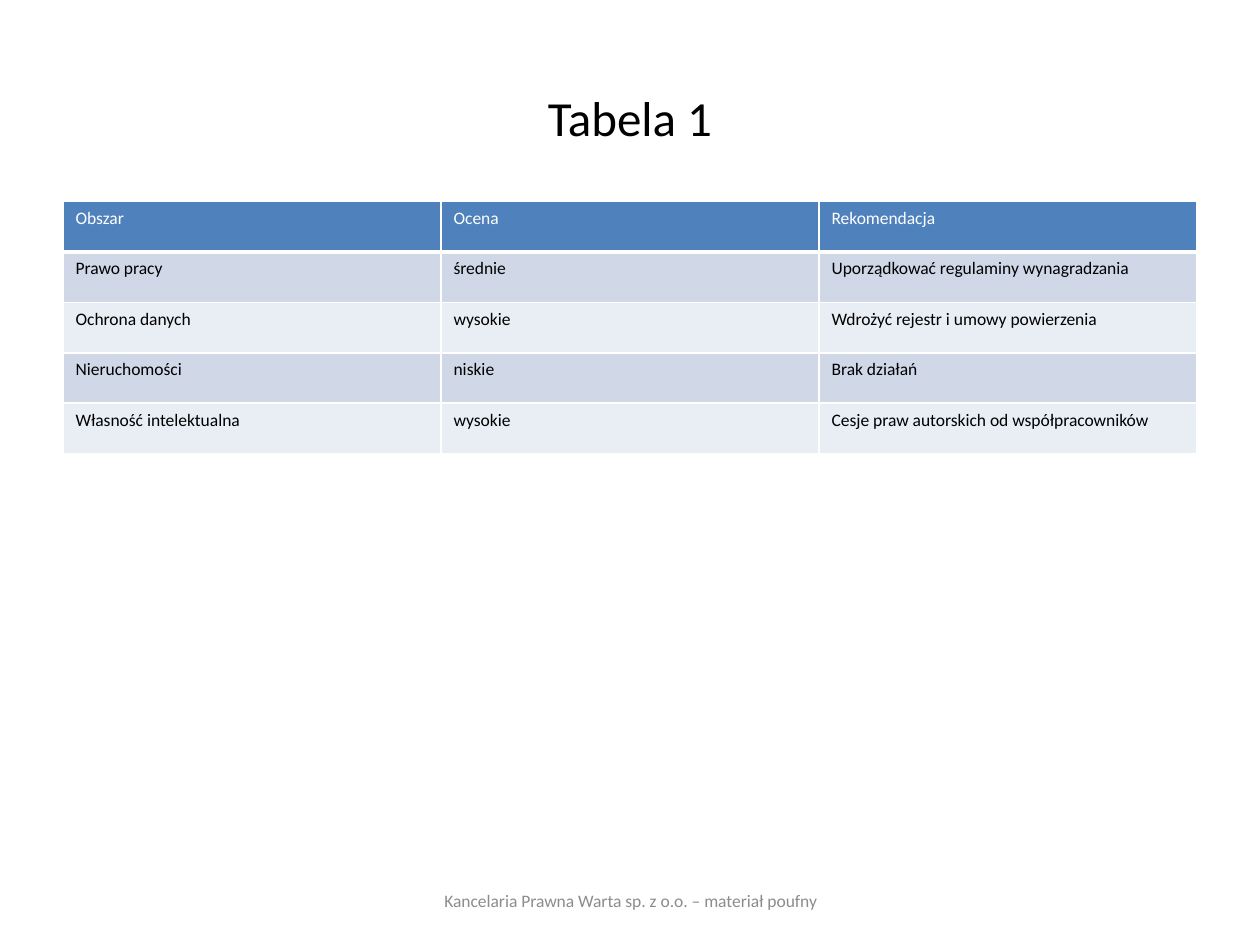
import pptx
import pptx.util
import pptx.dml.color
import pptx.enum.text
import pptx.oxml.ns
from lxml import etree

PX = 9144  # EMU, 100 px to the inch
ALIGN = pptx.enum.text.PP_ALIGN
MIDDLE = pptx.enum.text.MSO_ANCHOR.MIDDLE

THEME = {
    "font": "Calibri",
    "title": {"size": 28, "color": "000000"},
    "head": {"size": 10, "color": "FFFFFF"},
    "body": {"size": 10, "color": "000000"},
    "foot": {"size": 10, "color": "8C8C8C"},
    "headfill": "4F81BD",
    "bands": ("D0D8E8", "E9EDF4"),
    "rule": "FFFFFF",
}

ROWS = (
    ("Obszar", "Ocena", "Rekomendacja"),
    ("Prawo pracy", "średnie", "Uporządkować regulaminy wynagradzania"),
    ("Ochrona danych", "wysokie", "Wdrożyć rejestr i umowy powierzenia"),
    ("Nieruchomości", "niskie", "Brak działań"),
    ("Własność intelektualna", "wysokie", "Cesje praw autorskich od współpracowników"),
)


def color(code):
    return pptx.dml.color.RGBColor.from_string(code)


def emu(box):
    return [n * PX for n in box]


def write(frame, text, style):
    para = frame.paragraphs[0]
    run = para.add_run()
    run.text = text
    form = {"name": THEME["font"], "size": pptx.util.Pt(style["size"]), "bold": False}
    for key, value in form.items():
        setattr(run.font, key, value)
    run.font.color.rgb = color(style["color"])
    return para


def add_line(slide, box, text, style):
    """Place one line of text centred in its box."""
    frame = slide.shapes.add_textbox(*emu(box)).text_frame
    for key, value in {"word_wrap": True, "vertical_anchor": MIDDLE}.items():
        setattr(frame, key, value)
    write(frame, text, style).alignment = ALIGN.CENTER


def add_rules(cell, base):
    """Draw the four cell borders; base is the width of the lowest in points."""
    props = cell._tc.get_or_add_tcPr()
    qn = pptx.oxml.ns.qn
    for side, width in {"L": 1, "R": 1, "T": 1, "B": base}.items():
        line = etree.SubElement(props, qn(f"a:ln{side}"), w=str(pptx.util.Pt(width)))
        fill = etree.SubElement(line, qn("a:solidFill"))
        etree.SubElement(fill, qn("a:srgbClr"), val=THEME["rule"])


def add_grid(slide, box, rows):
    shape = slide.shapes.add_table(len(rows), len(rows[0]), *emu(box))
    table = shape.table
    for key in ("first_row", "horz_banding"):
        setattr(table, key, False)
    for r, row in enumerate(rows):
        head = r == 0
        shade = THEME["headfill"] if head else THEME["bands"][(r - 1) % 2]
        for c, text in enumerate(row):
            cell = table.cell(r, c)
            add_rules(cell, 3 if head else 1)
            cell.fill.solid()
            cell.fill.fore_color.rgb = color(shade)
            write(cell.text_frame, text, THEME["head" if head else "body"])


def main():
    deck = pptx.Presentation()
    deck.slide_width, deck.slide_height = emu((1000, 750))
    slide = deck.slides.add_slide(deck.slide_layouts[6])
    add_line(slide, (50, 30, 900, 125), "Tabela 1", THEME["title"])
    add_grid(slide, (50, 160, 900, 200), ROWS)
    add_line(slide, (342, 695, 317, 40),
             "Kancelaria Prawna Warta sp. z o.o. – materiał poufny", THEME["foot"])
    deck.save("out.pptx")


if __name__ == "__main__":
    main()
